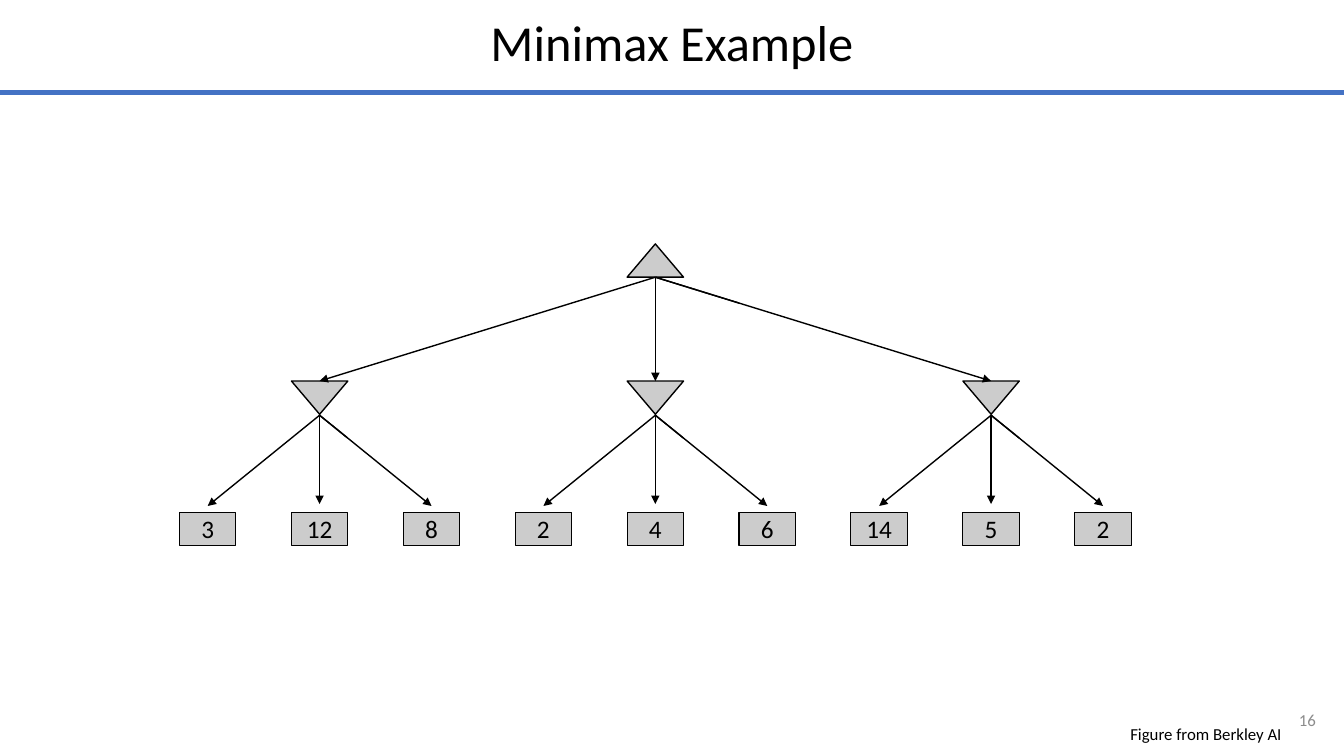
from lxml import etree
from pptx import Presentation
from pptx.dml.color import RGBColor
from pptx.enum.shapes import MSO_CONNECTOR, MSO_SHAPE
from pptx.enum.text import MSO_ANCHOR, PP_ALIGN
from pptx.oxml.ns import qn
from pptx.util import Inches, Pt

STRAIGHT = MSO_CONNECTOR.STRAIGHT
TRIANGLE, RECTANGLE = MSO_SHAPE.ISOSCELES_TRIANGLE, MSO_SHAPE.RECTANGLE
MIDDLE, TOP = MSO_ANCHOR.MIDDLE, MSO_ANCHOR.TOP
CENTER, RIGHT = PP_ALIGN.CENTER, PP_ALIGN.RIGHT

WIDTH, HEIGHT = 13.33, 7.5
BLACK, GRAY, NODE_FILL, BLUE = "000000", "8C8C8C", "CCCCCC", "4472C4"

# Tree grid: nine leaf columns around the root, three rows
ROOT_X, COLUMN = 6.5, 1.11
NODE_WIDTH, NODE_HEIGHT = 0.56, 0.33
ROOT_TOP, MIN_TOP, LEAF_TOP = 2.42, 3.78, 5.08
BRANCHES = [(3, 12, 8), (2, 4, 6), (14, 5, 2)]


def set_text(shape, text, size, color, alignment, anchor):
    frame = shape.text_frame
    frame.text = text
    frame.vertical_anchor = anchor
    paragraph = frame.paragraphs[0]
    paragraph.alignment = alignment
    font = paragraph.runs[0].font
    font.name, font.size = "Calibri", Pt(size)
    font.color.rgb = RGBColor.from_string(color)
    return paragraph


def add_line(start, end, color=BLACK, width=1, arrow=False):
    points = [Inches(value) for value in (*start, *end)]
    connector = slide.shapes.add_connector(STRAIGHT, *points)
    connector.line.color.rgb = RGBColor.from_string(color)
    connector.line.width = Pt(width)
    if arrow:
        etree.SubElement(connector.line._get_or_add_ln(), qn("a:tailEnd"), type="triangle")
    etree.SubElement(connector._element.spPr, qn("a:effectLst"))


presentation = Presentation()
presentation.slide_width, presentation.slide_height = Inches(WIDTH), Inches(HEIGHT)
slide = presentation.slides.add_slide(presentation.slide_layouts[5])

# Title and rule
title = slide.shapes.title
title.left, title.top = 0, Inches(-0.02)
title.width, title.height = Inches(WIDTH), Inches(0.94)
set_text(title, "Minimax Example", 36, BLACK, CENTER, MIDDLE).line_spacing = 0.9
add_line((0, 0.92), (WIDTH, 0.92), BLUE, 3.75)

# Slide number and credit
for text, box, color, anchor in [
    ("16", (12.47, 6.95, 0.68, 0.4), GRAY, MIDDLE),
    ("Figure from Berkley AI", (10.83, 7.15, 1.98, 0.27), BLACK, TOP),
]:
    text_box = slide.shapes.add_textbox(*[Inches(value) for value in box])
    text_box.text_frame.word_wrap = True
    set_text(text_box, text, 12, color, RIGHT, anchor).line_spacing = 0.9

# Nodes: kind, centre, top, rotation, line width, label
nodes = [(TRIANGLE, ROOT_X, ROOT_TOP, 0, 1, "")]
# Edges: parent point, then its three child points
families = []
min_points = []
for branch, values in enumerate(BRANCHES):
    min_x = ROOT_X + (branch - 1) * 3 * COLUMN
    min_points.append((min_x, MIN_TOP))
    nodes.append((TRIANGLE, min_x, MIN_TOP, 180, 1, ""))
    leaf_points = []
    for leaf, value in enumerate(values):
        leaf_x = min_x + (leaf - 1) * COLUMN
        nodes.append((RECTANGLE, leaf_x, LEAF_TOP, 0, 0.75, str(value)))
        leaf_points.append((leaf_x, 5.0 if leaf == 1 else 5.02))
    families.append(((min_x, 4.12), leaf_points))
families.append(((ROOT_X, ROOT_TOP + NODE_HEIGHT), min_points))

for kind, center, top, rotation, line_width, label in nodes:
    node = slide.shapes.add_shape(
        kind, Inches(center - NODE_WIDTH / 2), Inches(top), Inches(NODE_WIDTH), Inches(NODE_HEIGHT)
    )
    node.shadow.inherit = False
    node.rotation = rotation
    node.fill.solid()
    node.fill.fore_color.rgb = RGBColor.from_string(NODE_FILL)
    node.line.color.rgb = RGBColor.from_string(BLACK)
    node.line.width = Pt(line_width)
    if label:
        node.text_frame.word_wrap = False
        set_text(node, label, 18, BLACK, CENTER, MIDDLE)

# Arrows to the children, with short strokes on the middle and right ones
for parent, children in families:
    for child in children:
        add_line(parent, child, arrow=True)
    for child, share in zip(children[1:], (1 / 3, 1 / 4)):
        add_line(parent, [a + (b - a) * share for a, b in zip(parent, child)])

presentation.save("out.pptx")
